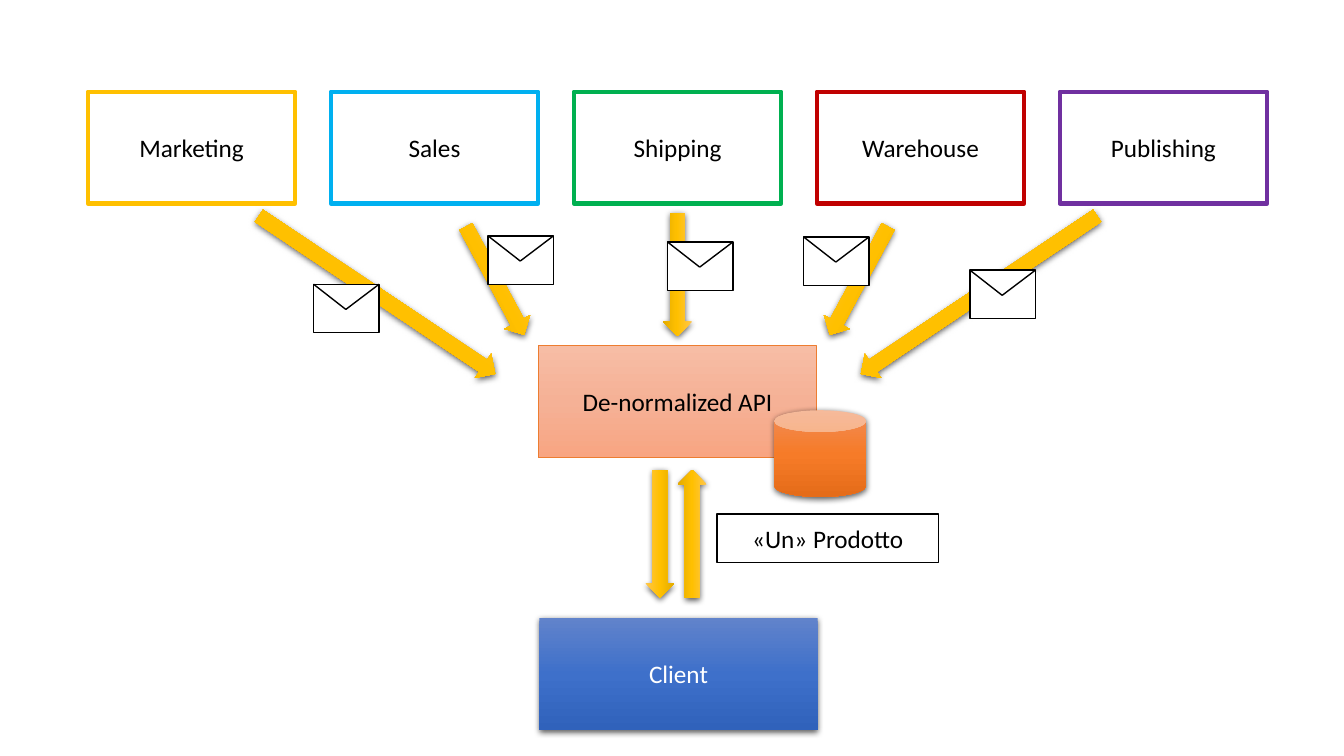
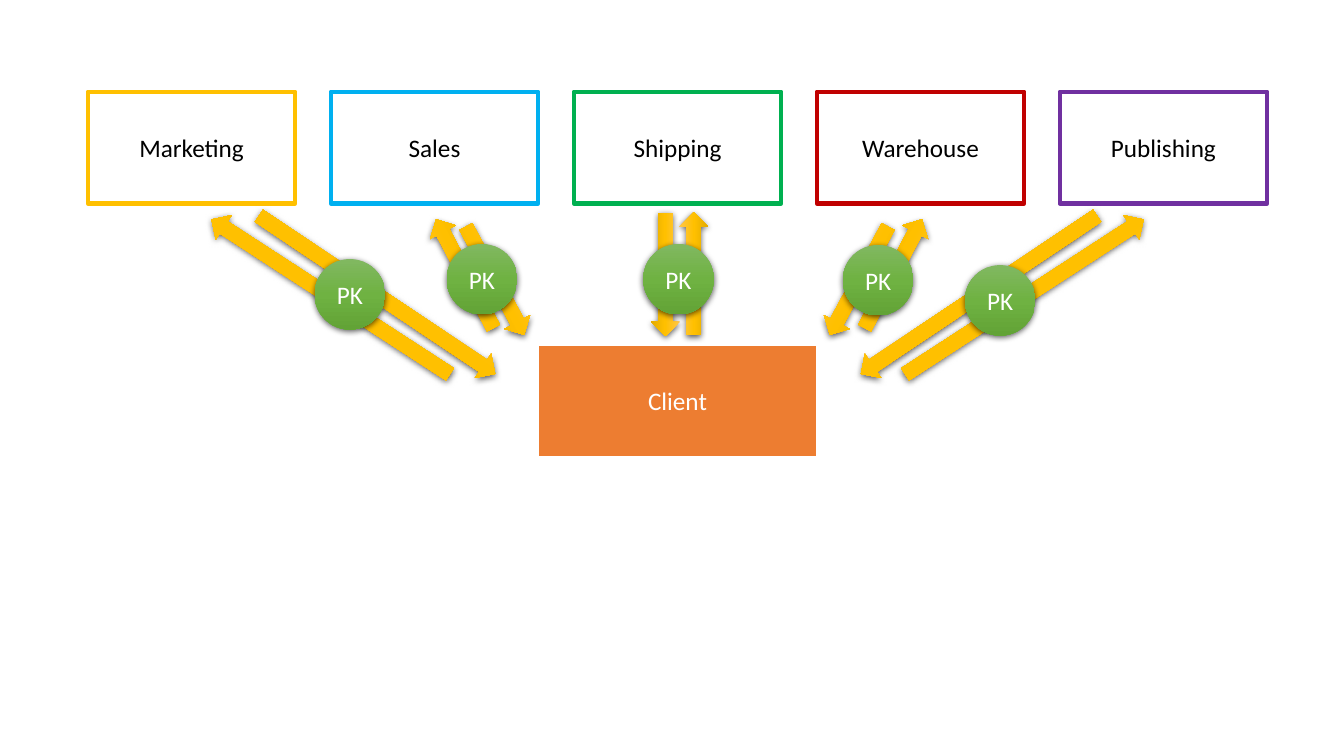
import copy
from dataclasses import dataclass
from typing import Optional

import lxml.etree
import pptx
import pptx.dml.color
import pptx.enum.shapes
import pptx.enum.text
import pptx.oxml.ns
import pptx.shapes.autoshape
import pptx.slide
import pptx.util

EMU_PER_PX = 9144
SHAPES = pptx.enum.shapes.MSO_SHAPE


@dataclass(frozen=True)
class Theme:
    font: str = "Calibri"
    text_size: int = 18
    black: str = "000000"
    white: str = "FFFFFF"
    orange: str = "ED7D31"
    gold_blend: tuple[str, ...] = ("FFC64B", "FFC000", "E3AB00")
    peach_blend: tuple[str, ...] = ("F7BDA5", "F5B196", "F8A582")
    blue_blend: tuple[str, ...] = ("6183CB", "3E70CA", "3062BB")
    orange_blend: tuple[str, ...] = ("F18C57", "F67B28", "E56C19")
    green_blend: tuple[str, ...] = ("81B861", "6FB242", "62A336")


THEME = Theme()


@dataclass(frozen=True)
class Box:
    left: int
    top: int
    width: int
    height: int


@dataclass(frozen=True)
class Look:
    """Fill is one colour, or several for a top-to-bottom blend."""
    fill: tuple[str, ...]
    line: Optional[str] = None
    line_width: float = 1
    text: str = THEME.black
    shadow: bool = False


@dataclass(frozen=True)
class Arrow:
    left: int
    top: int
    length: int
    rotation: float
    flipped: bool = False


@dataclass(frozen=True)
class Service:
    name: str
    color: str


ARROW_LOOK = Look(THEME.gold_blend, shadow=True)
PAPER_LOOK = Look((THEME.white,), THEME.black)
API_LOOK = Look(THEME.peach_blend, THEME.orange, 0.5)
DATABASE_LOOK = Look(THEME.orange_blend, shadow=True)
KEY_LOOK = Look(THEME.green_blend, text=THEME.white, shadow=True)
CLIENT_LOOK = Look(THEME.blue_blend, text=THEME.white, shadow=True)
FLAT_CLIENT_LOOK = Look((THEME.orange,), THEME.white, 1.5, THEME.white)

SERVICES = (
    Service("Marketing", "FFC000"),
    Service("Sales", "00B0F0"),
    Service("Shipping", "00B050"),
    Service("Warehouse", "C00000"),
    Service("Publishing", "7030A0"),
)
SERVICE_LEFT, SERVICE_TOP, SERVICE_STEP = 87, 91, 241
SERVICE_WIDTH, BLOCK_WIDTH, BLOCK_HEIGHT = 206, 276, 111
ARROW_THICKNESS = 29
ENVELOPE_WIDTH, ENVELOPE_HEIGHT, FLAP_DEPTH = 65, 48, 25
KEY_SIZE = 70

SIDE_ARROWS_DOWN = (
    Arrow(233, 278, 282, 33.8),
    Arrow(430, 264, 122, 61.7),
    Arrow(830, 278, 282, 326.2, True),
    Arrow(791, 264, 122, 298.3, True),
)
MESSAGE_ARROWS = SIDE_ARROWS_DOWN + (Arrow(611, 258, 122, 90),)
CLIENT_ARROWS = (
    Arrow(591, 515, 127, 270, True),
    Arrow(623, 515, 127, 90, True),
)
LOOKUP_ARROWS = SIDE_ARROWS_DOWN + (
    Arrow(599, 258, 122, 90),
    Arrow(187, 280, 282, 213),
    Arrow(875, 280, 282, 147, True),
    Arrow(825, 257, 122, 117.8, True),
    Arrow(400, 257, 122, 242.2),
    Arrow(627, 257, 122, 270),
)
ENVELOPES = ((311, 282), (484, 234), (662, 240), (797, 235), (962, 268))
KEYS = ((957, 263), (836, 243), (638, 242), (443, 242), (312, 257))


def px(value: int) -> int:
    return pptx.util.Emu(value * EMU_PER_PX)


def rgb(color: str) -> pptx.dml.color.RGBColor:
    return pptx.dml.color.RGBColor.from_string(color)


def add_blend(shape: pptx.shapes.autoshape.Shape, colors: tuple[str, ...]) -> None:
    """Fill with evenly spaced colours running from top to bottom."""
    shape.fill.gradient()
    shape.fill.gradient_angle = 270
    stop_list = shape._element.spPr.xpath(".//a:gsLst")[0]
    for _ in colors[2:]:
        stop_list.insert(1, copy.deepcopy(stop_list[0]))
    for index, (stop, color) in enumerate(zip(shape.fill.gradient_stops, colors)):
        stop.color.rgb = rgb(color)
        stop.position = index / (len(colors) - 1)


def add_shadow(shape: pptx.shapes.autoshape.Shape) -> None:
    qn = pptx.oxml.ns.qn
    effects = shape._element.spPr.find(qn("a:effectLst"))
    outer = lxml.etree.SubElement(
        effects, qn("a:outerShdw"), blurRad=str(pptx.util.Pt(4.5)),
        dist=str(pptx.util.Pt(1.5)), dir="5400000", algn="ctr", rotWithShape="0")
    color = lxml.etree.SubElement(outer, qn("a:srgbClr"), val=THEME.black)
    lxml.etree.SubElement(color, qn("a:alpha"), val="63000")


def add_block(shapes, kind: pptx.enum.shapes.MSO_SHAPE, box: Box, look: Look,
              text: str = "") -> pptx.shapes.autoshape.Shape:
    """Draw a preset shape in the given look, with centred text if any."""
    shape = shapes.add_shape(
        kind, px(box.left), px(box.top), px(box.width), px(box.height))
    shape.shadow.inherit = False
    if look.shadow:
        add_shadow(shape)
    if len(look.fill) > 1:
        add_blend(shape, look.fill)
    else:
        shape.fill.solid()
        shape.fill.fore_color.rgb = rgb(look.fill[0])
    if look.line:
        shape.line.color.rgb = rgb(look.line)
        shape.line.width = pptx.util.Pt(look.line_width)
    else:
        shape.line.fill.background()
    if text:
        shape.text_frame.vertical_anchor = pptx.enum.text.MSO_ANCHOR.MIDDLE
        paragraph = shape.text_frame.paragraphs[0]
        paragraph.alignment = pptx.enum.text.PP_ALIGN.CENTER
        run = paragraph.add_run()
        run.text = text
        run.font.name = THEME.font
        run.font.size = pptx.util.Pt(THEME.text_size)
        run.font.color.rgb = rgb(look.text)
    return shape


def add_arrows(slide: pptx.slide.Slide, arrows: tuple[Arrow, ...]) -> None:
    for arrow in arrows:
        box = Box(arrow.left, arrow.top, arrow.length, ARROW_THICKNESS)
        shape = add_block(slide.shapes, SHAPES.RIGHT_ARROW, box, ARROW_LOOK)
        shape.rotation = arrow.rotation
        if arrow.flipped:
            shape._element.spPr.xfrm.set("flipH", "1")


def add_envelope(slide: pptx.slide.Slide, left: int, top: int) -> None:
    envelope = slide.shapes.add_group_shape().shapes
    box = Box(left, top, ENVELOPE_WIDTH, ENVELOPE_HEIGHT)
    add_block(envelope, SHAPES.RECTANGLE, box, PAPER_LOOK)
    for corner in (left, left + ENVELOPE_WIDTH):
        flap = envelope.add_connector(
            pptx.enum.shapes.MSO_CONNECTOR.STRAIGHT, px(corner), px(top),
            px(left + ENVELOPE_WIDTH // 2), px(top + FLAP_DEPTH))
        flap.line.color.rgb = rgb(THEME.black)
        flap.line.width = pptx.util.Pt(1)
        lxml.etree.SubElement(
            flap._element.spPr, pptx.oxml.ns.qn("a:effectLst"))


def add_service_slide(deck) -> pptx.slide.Slide:
    """Start a blank slide with the row of services."""
    slide = deck.slides.add_slide(deck.slide_layouts.get_by_name("Blank"))
    for index, service in enumerate(SERVICES):
        box = Box(SERVICE_LEFT + index * SERVICE_STEP, SERVICE_TOP,
                  SERVICE_WIDTH, BLOCK_HEIGHT)
        look = Look((THEME.white,), service.color, 3)
        add_block(slide.shapes, SHAPES.RECTANGLE, box, look, service.name)
    return slide


def add_message_slide(deck) -> None:
    slide = add_service_slide(deck)
    add_block(slide.shapes, SHAPES.RECTANGLE,
              Box(534, 343, BLOCK_WIDTH, BLOCK_HEIGHT), API_LOOK, "De-normalized API")
    add_arrows(slide, MESSAGE_ARROWS)
    for left, top in ENVELOPES:
        add_envelope(slide, left, top)
    add_block(slide.shapes, SHAPES.RECTANGLE,
              Box(535, 613, BLOCK_WIDTH, BLOCK_HEIGHT), CLIENT_LOOK, "Client")
    add_arrows(slide, CLIENT_ARROWS)
    add_block(slide.shapes, SHAPES.RECTANGLE,
              Box(711, 510, 220, 48), PAPER_LOOK, "«Un» Prodotto")
    add_block(slide.shapes, SHAPES.CAN, Box(768, 407, 91, 86), DATABASE_LOOK)


def add_lookup_slide(deck) -> None:
    slide = add_service_slide(deck)
    add_arrows(slide, LOOKUP_ARROWS)
    add_block(slide.shapes, SHAPES.RECTANGLE,
              Box(534, 342, BLOCK_WIDTH, BLOCK_HEIGHT), FLAT_CLIENT_LOOK, "Client")
    for left, top in KEYS:
        add_block(slide.shapes, SHAPES.OVAL,
                  Box(left, top, KEY_SIZE, KEY_SIZE), KEY_LOOK, "PK")


def main() -> None:
    deck = pptx.Presentation()
    deck.slide_width, deck.slide_height = px(1333), px(750)
    add_message_slide(deck)
    add_lookup_slide(deck)
    deck.save("out.pptx")


if __name__ == "__main__":
    main()
